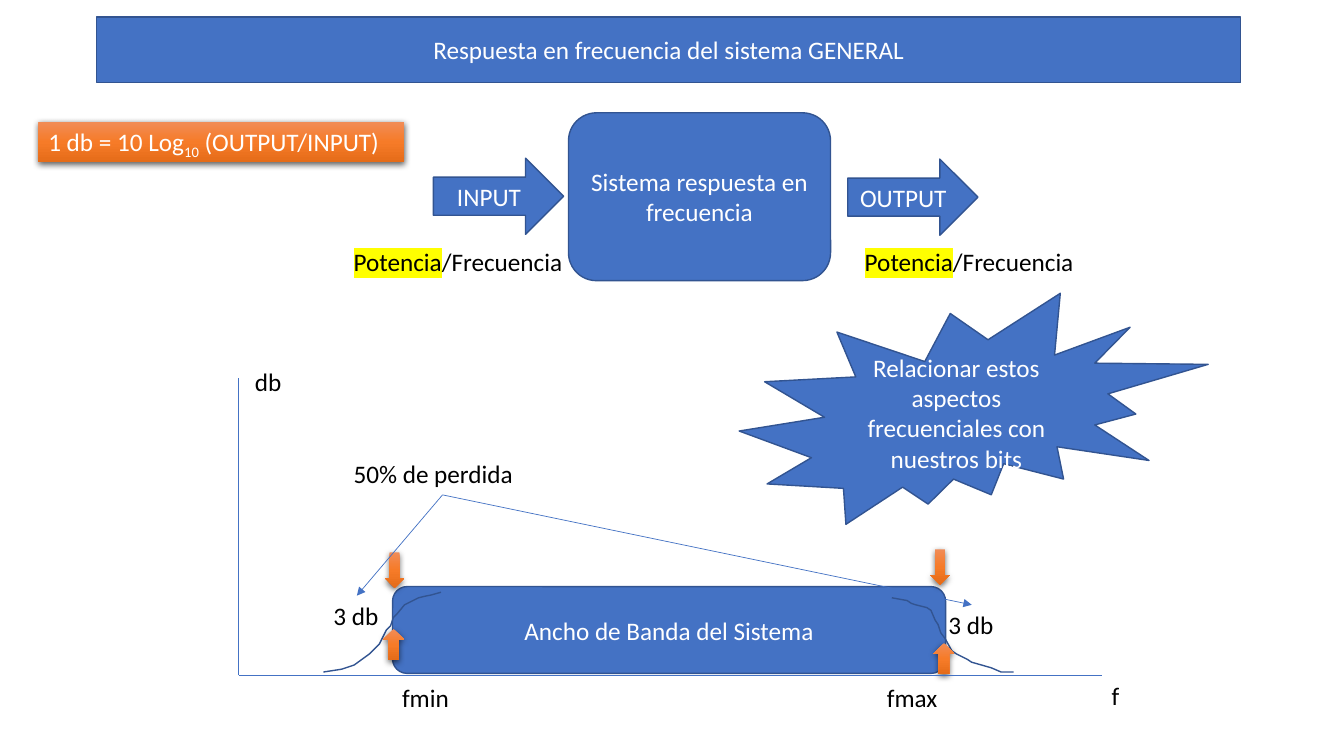
from copy import deepcopy
from lxml.etree import SubElement
from pptx import Presentation
from pptx.dml.color import RGBColor
from pptx.enum.shapes import MSO_CONNECTOR, MSO_SHAPE
from pptx.enum.text import MSO_ANCHOR, MSO_AUTO_SIZE, PP_ALIGN
from pptx.oxml import parse_xml
from pptx.oxml.ns import nsdecls, qn
from pptx.util import Pt

hue = RGBColor.from_string
BLUE, EDGE, WHITE, BLACK = "4472C4", "325491", "FFFFFF", "000000"


def write(shape, runs, ink, label=False):
    frame = shape.text_frame
    frame.word_wrap = not label
    frame.auto_size = MSO_AUTO_SIZE.SHAPE_TO_FIT_TEXT if label else MSO_AUTO_SIZE.NONE
    frame.vertical_anchor = MSO_ANCHOR.TOP if label else MSO_ANCHOR.MIDDLE
    line = frame.paragraphs[0]
    line.alignment = PP_ALIGN.LEFT if label else PP_ALIGN.CENTER
    for text, style in runs:
        run = line.add_run()
        run.text = text
        run.font.size = Pt(18)
        run.font.name = "Calibri"
        run.font.color.rgb = hue(ink)
        props = run.font._element
        if style == "sub":
            props.set("baseline", "-25000")
        if style == "mark":
            mark = parse_xml(f'<a:highlight {nsdecls("a")}><a:srgbClr val="FFFF00"/></a:highlight>')
            props.find(qn("a:solidFill")).addnext(mark)


def glow(shape):
    shape.line.fill.background()
    fill = shape.fill
    fill.gradient()
    fill.gradient_angle = 270
    first = shape._element.spPr.find(qn("a:gradFill")).find(qn("a:gsLst"))[0]
    first.addnext(deepcopy(first))
    for stop, spot, tone in zip(fill.gradient_stops, (0, 0.5, 1), ("F18C57", "F67B28", "E56C19")):
        stop.position = spot
        stop.color.rgb = hue(tone)
    shape.shadow.inherit = False
    list_ = shape._element.spPr.find(qn("a:effectLst"))
    list_.append(parse_xml(
        f'<a:outerShdw {nsdecls("a")} blurRad="57150" dist="19050" dir="5400000" algn="ctr" rotWithShape="0">'
        '<a:srgbClr val="000000"><a:alpha val="63000"/></a:srgbClr></a:outerShdw>'))


deck = Presentation()
deck.slide_width, deck.slide_height = Pt(960), Pt(540)
slide = deck.slides.add_slide(deck.slide_layouts[5])
shapes = slide.shapes

title = shapes.title
title.left, title.top, title.width, title.height = Pt(69.1), Pt(12.2), Pt(817.2), Pt(46.8)
title._element.spPr.append(parse_xml(f'<a:prstGeom {nsdecls("a")} prst="roundRect"><a:avLst/></a:prstGeom>'))
title.fill.solid()
title.fill.fore_color.rgb = hue(BLUE)
title.line.color.rgb = hue(EDGE)
title.line.width = Pt(1)
write(title, [("Respuesta en frecuencia del sistema GENERAL", "")], WHITE)

blocks = [
    (MSO_SHAPE.ROUNDED_RECTANGLE, 406.1, 80.6, 187.2, 119.9, "Sistema respuesta en frecuencia"),
    (MSO_SHAPE.RIGHT_ARROW, 309.6, 113, 93, 54.4, "INPUT"),
    (MSO_SHAPE.RIGHT_ARROW, 605.5, 113.6, 93, 54.4, "OUTPUT"),
    (MSO_SHAPE.ROUNDED_RECTANGLE, 280.4, 419, 395, 62, "Ancho de Banda del Sistema"),
    (MSO_SHAPE.EXPLOSION2, 528, 209.5, 335, 165, "Relacionar estos aspectos frecuenciales con nuestros bits"),
]
for kind, x, y, w, h, text in blocks:
    block = shapes.add_shape(kind, Pt(x), Pt(y), Pt(w), Pt(h))
    block.shadow.inherit = False
    block.fill.solid()
    block.fill.fore_color.rgb = hue(BLUE)
    block.line.color.rgb = hue(EDGE)
    block.line.width = Pt(1)
    write(block, [(text, "")], WHITE)

rule = shapes.add_shape(MSO_SHAPE.RECTANGLE, Pt(27.4), Pt(86.8), Pt(261.4), Pt(29.1))
glow(rule)
write(rule, [("1 db = 10 Log", ""), ("10", "sub"), (" (OUTPUT/INPUT)", "")], WHITE, True)

power = [("Potencia", "mark"), ("/Frecuencia", "")]
labels = [
    (245.5, 172.4, 165.6, power),
    (610.6, 172.4, 165.6, power),
    (787, 482.4, 20.2, [("f", "")]),
    (280.1, 484, 48.2, [("fmin", "")]),
    (626.4, 484, 51.1, [("fmax", "")]),
    (175, 257.8, 33.8, [("db", "")]),
    (231.1, 425.5, 46.8, [("3 db", "")]),
    (670.3, 432, 46.8, [("3 db", "")]),
    (245.5, 324, 140.4, [("50% de perdida", "")]),
]
for x, y, w, runs in labels:
    label = shapes.add_textbox(Pt(x), Pt(y), Pt(w), Pt(29.1))
    write(label, runs, BLACK, True)

curves = [
    [(314.6, 422.6), (308.2, 424.8), (303.1, 425.5), (298.8, 427), (295.2, 429.1), (288.7, 432),
     (283.7, 438.5), (280.8, 440.6), (278.6, 447.1), (276.5, 450), (270.7, 460.1), (263.5, 467.3),
     (253.4, 475.2), (247, 477.4), (244.1, 478.1), (231.1, 479.5)],
    [(637.2, 427), (648, 429.1), (650.9, 431.3), (654.5, 432), (661.7, 434.2), (665.3, 436.3),
     (668.2, 442.8), (670.3, 445.7), (672.5, 452.2), (674.6, 455.8), (680.4, 465.1), (683.3, 466.6),
     (691.2, 470.9), (694.1, 473), (700.6, 475.2), (708.5, 477.4), (715, 479.5), (724.3, 480.2)],
]
for start, *rest in curves:
    path = shapes.build_freeform(*start, scale=Pt(1))
    path.add_line_segments(rest, close=False)
    curve = path.convert_to_shape()
    curve.shadow.inherit = False
    curve.fill.background()
    curve.line.color.rgb = hue(EDGE)
    curve.line.width = Pt(1)

arrows = [
    (MSO_SHAPE.DOWN_ARROW, 275, 394.6, 13.7, 25.2),
    (MSO_SHAPE.UP_ARROW, 273.6, 449.3, 15.1, 22.3),
    (MSO_SHAPE.DOWN_ARROW, 664.6, 392.4, 13.7, 25.2),
    (MSO_SHAPE.UP_ARROW, 666.7, 459.4, 15.1, 22.3),
]
for kind, *box in arrows:
    glow(shapes.add_shape(kind, *map(Pt, box)))

lines = [
    (170.6, 482.4, 787, 482.4, False),
    (170.6, 482.4, 170.6, 270, False),
    (316.1, 353.5, 254.9, 425.5, True),
    (316.1, 353.5, 694.1, 432, True),
]
for *ends, tip in lines:
    line = shapes.add_connector(MSO_CONNECTOR.STRAIGHT, *map(Pt, ends))
    line.line.color.rgb = hue(BLUE)
    line.line.width = Pt(0.5)
    props = line._element.spPr
    if tip:
        SubElement(props.find(qn("a:ln")), qn("a:tailEnd"), type="triangle")
    SubElement(props, qn("a:effectLst"))

deck.save("out.pptx")
